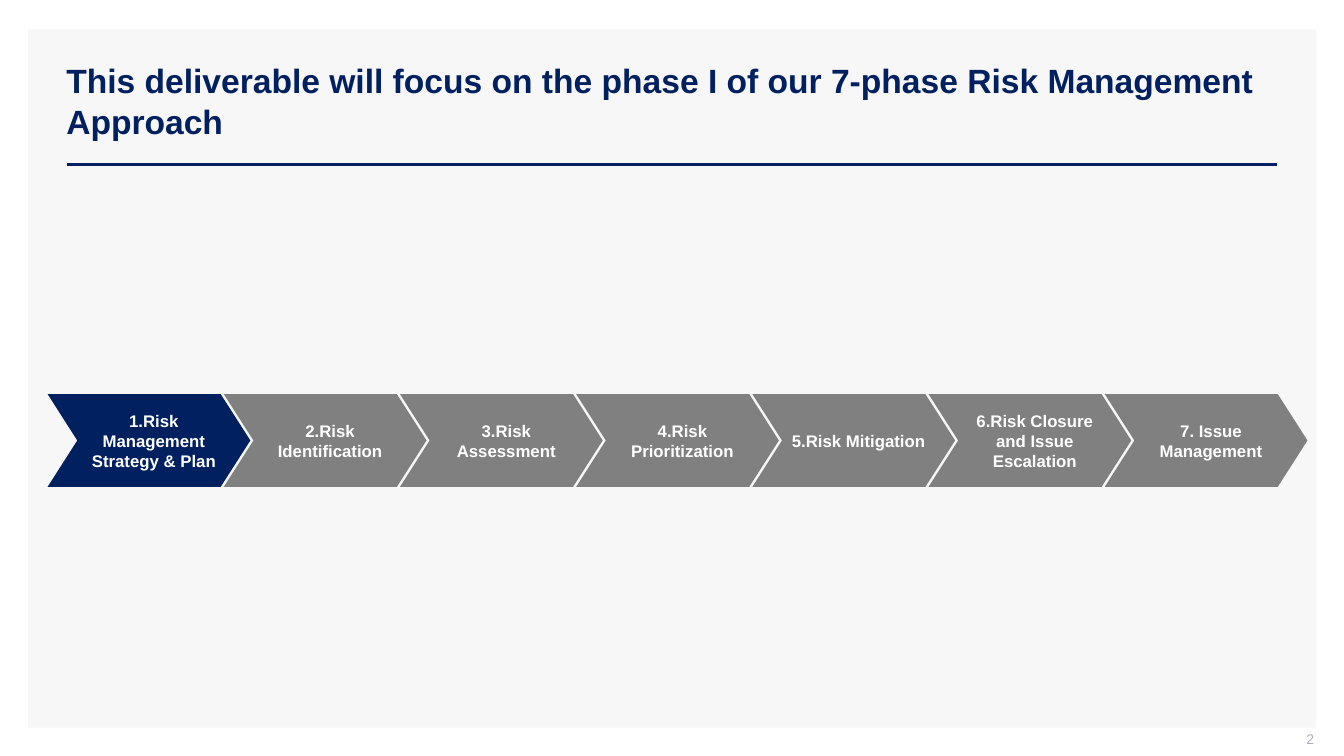
from pptx import Presentation
from pptx.dml.color import RGBColor
from pptx.enum import shapes, text
from pptx.oxml.ns import qn
from pptx.util import Cm, Pt
from lxml import etree

NAVY, GREY, WHITE = "002060", "808080", "FFFFFF"


def color(fill, code):
    fill.solid()
    fill.fore_color.rgb = RGBColor.from_string(code)


def write(shape, words, size, code, bold, align, insets):
    """Put one formatted run in a shape; insets are left, top, right, bottom in cm."""
    frame = shape.text_frame
    frame.word_wrap = True
    frame.auto_size = text.MSO_AUTO_SIZE.NONE
    frame.vertical_anchor = text.MSO_ANCHOR.MIDDLE
    (frame.margin_left, frame.margin_top,
     frame.margin_right, frame.margin_bottom) = map(Cm, insets)
    para = frame.paragraphs[0]
    para.alignment = align
    run = para.add_run()
    run.text = words
    run.font.name = "Arial"
    run.font.size = Pt(size)
    run.font.bold = bold
    color(run.font.fill, code)


deck = Presentation()
deck.slide_width, deck.slide_height = Cm(33.87), Cm(19.05)
slide = deck.slides.add_slide(deck.slide_layouts[5])
items = slide.shapes

# Panel, sent behind the title
panel = items.add_shape(shapes.MSO_SHAPE.RECTANGLE,
                        Cm(0.71), Cm(0.74), Cm(32.46), Cm(17.6))
panel.shadow.inherit = False
color(panel.fill, "F7F7F7")
panel.line.fill.background()
items.title._element.addprevious(panel._element)

# Title and rule
title = items.title
title.left, title.top, title.width, title.height = Cm(1.42), Cm(1.02), Cm(30.76), Cm(3.02)
write(title, "This deliverable will focus on the phase I of our 7-phase Risk Management Approach",
      24, NAVY, True, text.PP_ALIGN.LEFT, (0.25, 0.13, 0.25, 0.13))

rule = items.add_connector(shapes.MSO_CONNECTOR.STRAIGHT,
                           Cm(1.69), Cm(4.14), Cm(32.18), Cm(4.14))
rule.line.width = Pt(2)
color(rule.line.fill, NAVY)
etree.SubElement(rule._element.spPr, qn("a:effectLst"))

# Page number
page = items.add_textbox(Cm(25.5), Cm(18.42), Cm(7.62), Cm(0.53))
write(page, "2", 10, "ADAFBB", False, text.PP_ALIGN.RIGHT, (0.25, 0, 0, 0.13))

# Phases
phases = [
    "1.Risk Management Strategy & Plan",
    "2.Risk Identification",
    "3.Risk Assessment",
    "4.Risk Prioritization",
    "5.Risk Mitigation",
    "6.Risk Closure and Issue Escalation",
    "7. Issue Management",
]
for i, name in enumerate(phases):
    step = items.add_shape(shapes.MSO_SHAPE.CHEVRON,
                           Cm(1.2 + i * 4.44), Cm(9.93), Cm(5.11), Cm(2.34))
    step.adjustments[0] = 0.32
    step.shadow.inherit = False
    color(step.fill, GREY if i else NAVY)
    step.line.fill.background()
    write(step, name, 12, WHITE, True, text.PP_ALIGN.CENTER, (0.25, 0.13, 0, 0.13))

deck.save("out.pptx")
